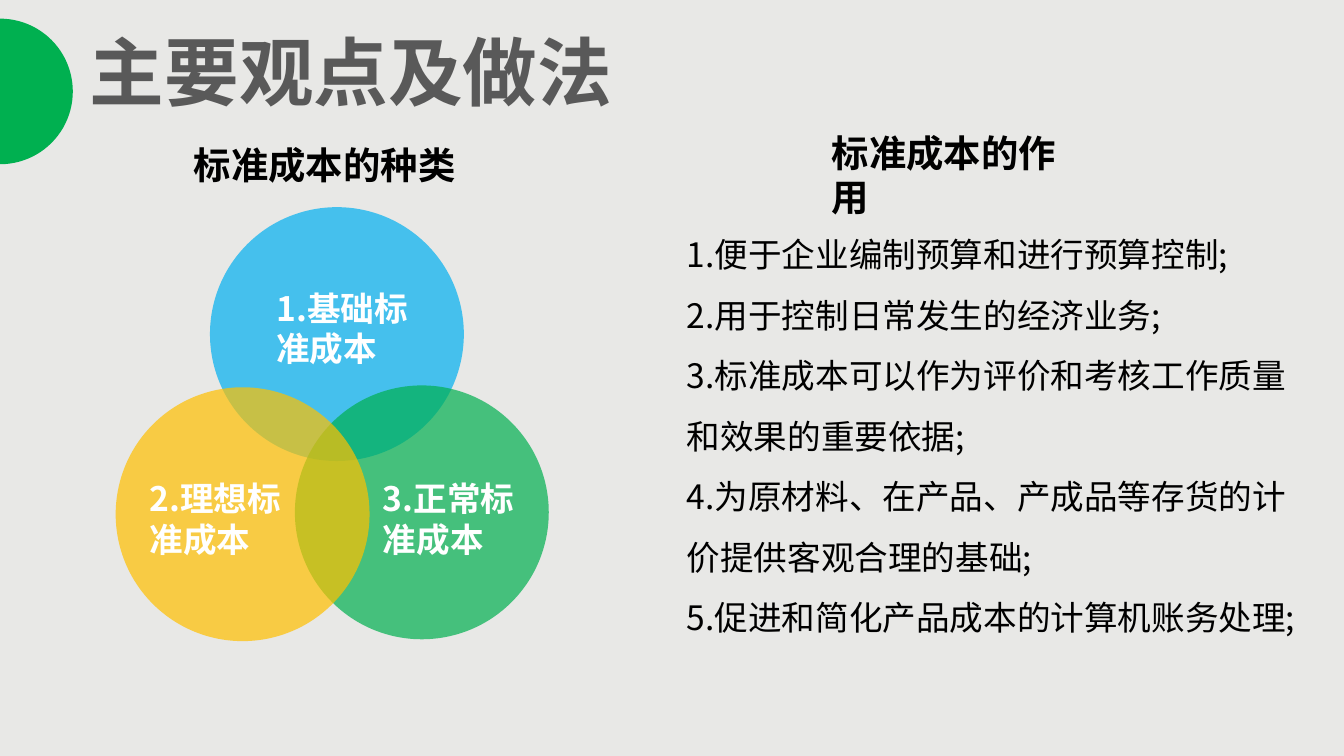
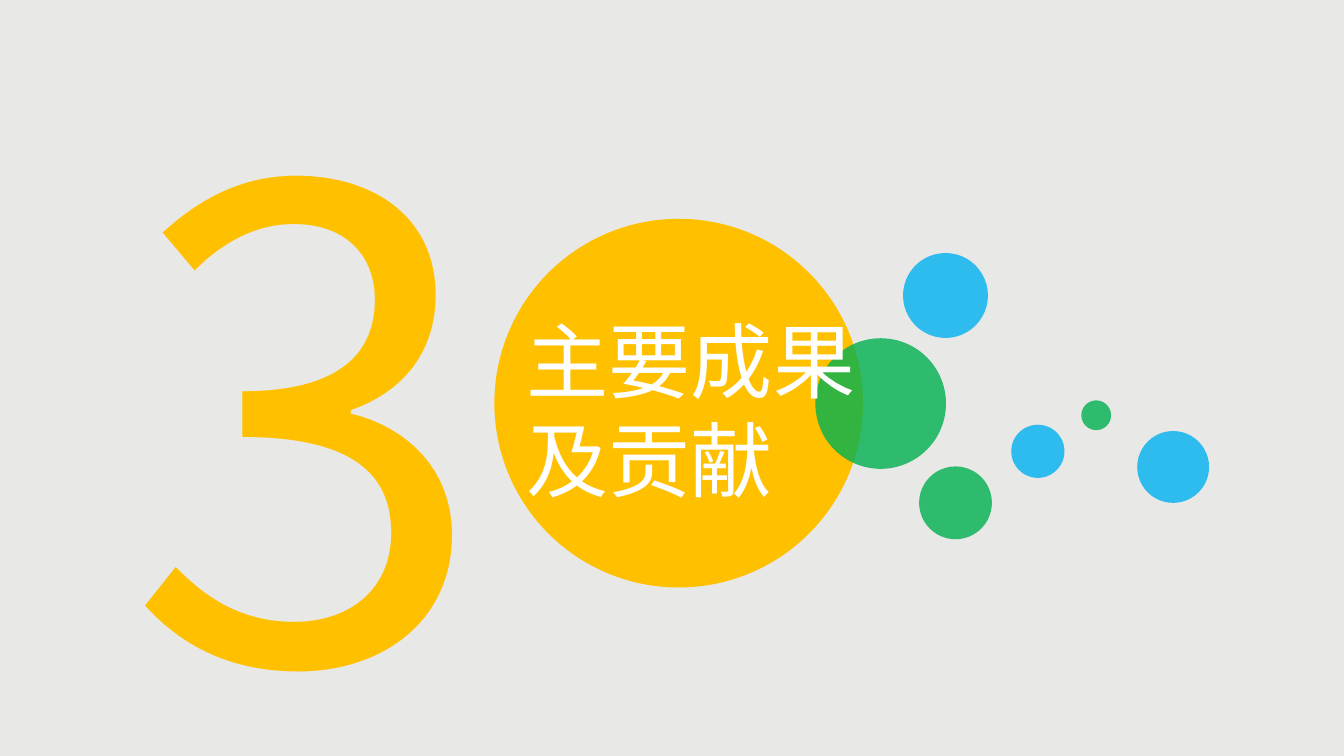
from lxml import etree
from pptx import Presentation
from pptx import util as u
from pptx.dml.color import RGBColor
from pptx.enum import shapes, text
from pptx.oxml import ns

FONT = "Noto Sans CJK SC"
PAPER, GREY, BLACK, WHITE = "E8E8E6", "595959", "000000", "FFFFFF"
BLUE, GREEN, AMBER = "00B0F0", "00B050", "FFC000"

TITLE = {"size": 40, "bold": True, "color": GREY}
HEADING = {"size": 20, "bold": True, "color": BLACK}
LABEL = {"size": 18, "bold": True, "color": WHITE}
BODY = {"size": 18, "bold": False, "color": BLACK}
SECTION = {"size": 44, "bold": False, "color": WHITE}
NUMERAL = {"size": 350, "bold": False, "color": AMBER}

USES = [
    "1.便于企业编制预算和进行预算控制;",
    "2.用于控制日常发生的经济业务;",
    "3.标准成本可以作为评价和考核工作质量和效果的重要依据;",
    "4.为原材料、在产品、产成品等存货的计价提供客观合理的基础;",
    "5.促进和简化产品成本的计算机账务处理;",
]


def rgb(value):
    return RGBColor.from_string(value)


def set_fill(fill, color, alpha=100):
    fill.solid()
    fill.fore_color.rgb = rgb(color)
    if alpha < 100:
        clr = fill._xPr.find(".//" + ns.qn("a:srgbClr"))
        etree.SubElement(clr, ns.qn("a:alpha"), val=str(alpha * 1000))


def add_circle(s, x, y, d, color, alpha=100):
    box = [u.Pt(v) for v in (x - d / 2, y - d / 2, d, d)]
    sp = s.shapes.add_shape(shapes.MSO_SHAPE.OVAL, *box)
    sp.shadow.inherit = False
    sp.line.fill.background()
    set_fill(sp.fill, color, alpha)


def format_run(r, style):
    values = {"name": FONT, "size": u.Pt(style["size"]), "bold": style["bold"]}
    for key, value in values.items():
        setattr(r.font, key, value)
    r.font.color.rgb = rgb(style["color"])
    etree.SubElement(r.font._element, ns.qn("a:ea"), typeface=FONT)


def write(sp, box, lines, style, spacing=1.0, indent=0):
    for key, value in zip(("left", "top", "width", "height"), box):
        setattr(sp, key, u.Pt(value))
    tf = sp.text_frame
    frame = {"word_wrap": True, "auto_size": text.MSO_AUTO_SIZE.NONE,
             "vertical_anchor": text.MSO_ANCHOR.TOP}
    for key, value in frame.items():
        setattr(tf, key, value)
    layout = {"alignment": text.PP_ALIGN.LEFT, "line_spacing": spacing,
              "space_before": u.Pt(0)}
    for i, line in enumerate(lines):
        p = tf.paragraphs[0] if i == 0 else tf.add_paragraph()
        for key, value in layout.items():
            setattr(p, key, value)
        pPr = p._p.get_or_add_pPr()
        pPr.set("marL", "0")
        pPr.set("indent", str(u.Pt(indent)))
        etree.SubElement(pPr, ns.qn("a:buNone"))
        r = p.add_run()
        r.text = line
        format_run(r, style)


def add_text(s, box, line, style, indent=0):
    sp = s.shapes.add_textbox(0, 0, 0, 0)
    write(sp, box, [line], style, indent=indent)


def set_title(s, box, line, style):
    sp = s.shapes.title
    write(sp, box, [line], style)
    sp.element.getparent().append(sp.element)


def build_methods(prs):
    s = prs.slides.add_slide(prs.slide_layouts[1])
    set_title(s, (41, 10, 298, 56), "主要观点及做法", TITLE)
    add_circle(s, 0, 49, 78, GREEN)
    add_text(s, (438.5, 66, 153, 32), "标准成本的作用", HEADING)
    add_text(s, (72.7, 72.7, 207, 32), "标准成本的种类", HEADING, indent=24)
    kinds = [
        (180.5, 179, BLUE, (141, 150.5, 96.5, 51), "1.基础标准成本"),
        (226, 274.5, GREEN, (198, 252.7, 93, 51), "3.正常标准成本"),
        (130, 275.5, AMBER, (73, 252.7, 98, 51), "2.理想标准成本"),
    ]
    for x, y, color, _, _ in kinds:
        add_circle(s, x, y, 136, color, 70)
    for _, _, _, box, line in kinds:
        add_text(s, box, line, LABEL)
    write(s.placeholders[1], (360.7, 111, 351.4, 236), USES, BODY, 1.5)


def build_section(prs):
    s = prs.slides.add_slide(prs.slide_layouts[5])
    add_circle(s, 363.6, 216, 197.5, AMBER)
    add_text(s, (60.5, 2, 222, 431), "3", NUMERAL)
    bubbles = [
        (506.5, 158.3, 45.5, BLUE),
        (471.8, 216.2, 70, GREEN),
        (556, 241.8, 28.5, BLUE),
        (511.9, 269.4, 39, GREEN),
        (587.3, 222.5, 16, GREEN),
        (628.5, 250.2, 38.5, BLUE),
    ]
    for x, y, d, color in bubbles:
        add_circle(s, x, y, d, color, 80)
    set_title(s, (275, 162.7, 204, 114), "主要成果及贡献", SECTION)


def main():
    prs = Presentation()
    prs.slide_width, prs.slide_height = u.Pt(720), u.Pt(405)
    set_fill(prs.slide_master.background.fill, PAPER)
    build_methods(prs)
    build_section(prs)
    prs.save("out.pptx")


if __name__ == "__main__":
    main()
